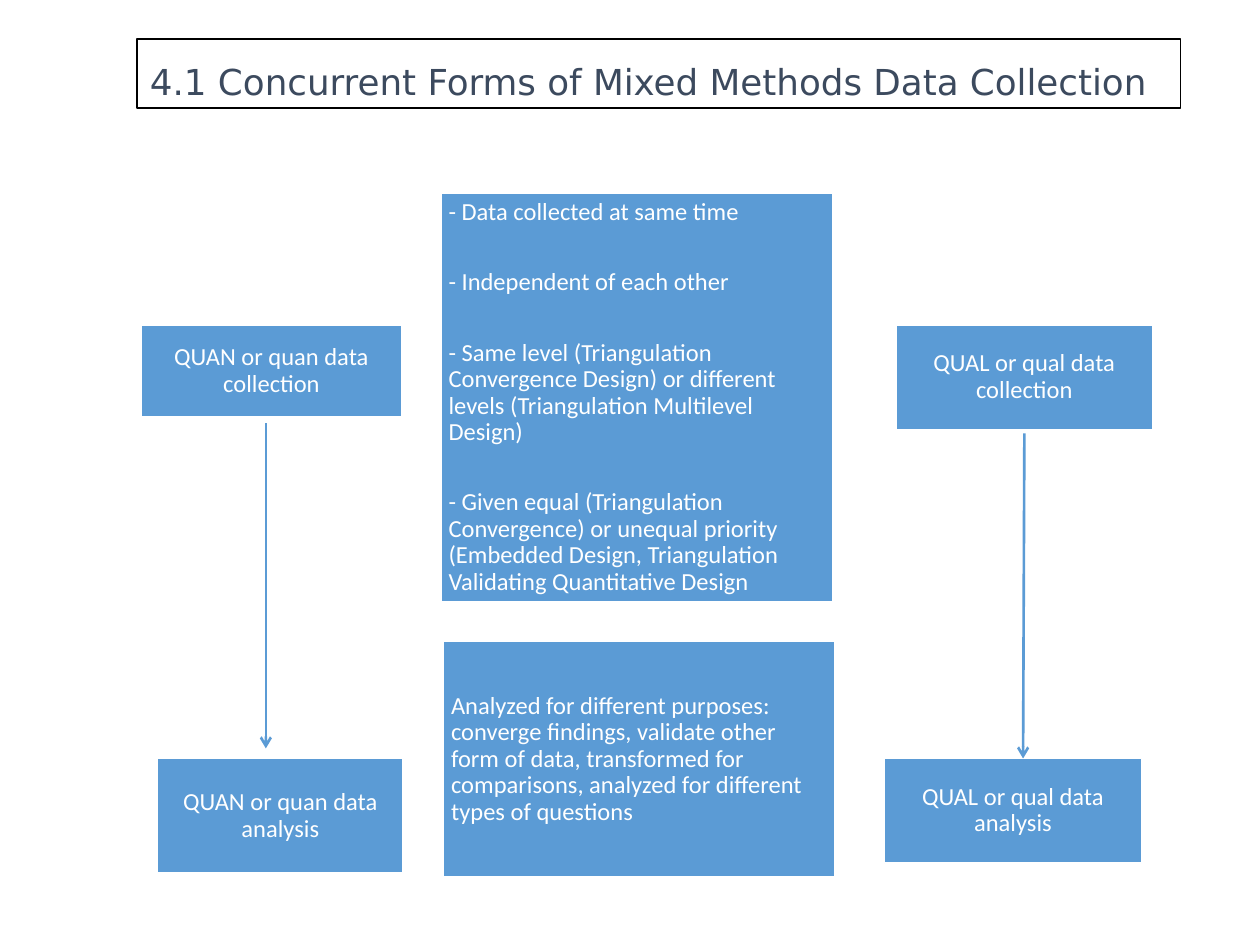
from dataclasses import dataclass

from lxml.etree import SubElement
from pptx import Presentation
from pptx.dml.color import RGBColor
from pptx.enum.shapes import MSO_CONNECTOR, MSO_SHAPE
from pptx.enum.text import MSO_ANCHOR, MSO_AUTO_SIZE, PP_ALIGN
from pptx.oxml.ns import qn
from pptx.util import Inches, Pt


@dataclass(frozen=True)
class Theme:
    """Colours, fonts and type sizes of the slide."""
    blue: RGBColor = RGBColor(0x5B, 0x9B, 0xD5)
    white: RGBColor = RGBColor(0xFF, 0xFF, 0xFF)
    black: RGBColor = RGBColor(0x00, 0x00, 0x00)
    title_color: RGBColor = RGBColor(0x3C, 0x4A, 0x5E)
    title_font: str = "DejaVu Sans"
    body_font: str = "Calibri"
    title_size: float = 20.4
    body_size: float = 14
    outline: float = 1
    arrow: float = 1.5


def write_text(frame, *paragraphs, font, size, color, align=PP_ALIGN.LEFT,
               anchor=MSO_ANCHOR.MIDDLE, line_spacing=0.9, gap=0,
               margins=(0.06, 0.06)):
    """Fill a text frame; gap is the space in points between paragraphs."""
    frame.word_wrap = True
    frame.auto_size = MSO_AUTO_SIZE.NONE
    frame.vertical_anchor = anchor
    frame.margin_left = frame.margin_right = Inches(margins[0])
    frame.margin_top = frame.margin_bottom = Inches(margins[1])
    for index, text in enumerate(paragraphs):
        paragraph = frame.add_paragraph() if index else frame.paragraphs[0]
        paragraph.text = text
        paragraph.alignment = align
        paragraph.line_spacing = line_spacing
        paragraph.space_before = Pt(gap if index else 0)
        paragraph.space_after = Pt(0)
        paragraph.font.name = font
        paragraph.font.size = Pt(size)
        paragraph.font.color.rgb = color


class SlideBuilder:
    """Holds the theme and the current slide."""

    def __init__(self, slide, theme):
        self.slide = slide
        self.theme = theme

    def paint(self, shape, fill, line):
        shape.fill.solid()
        shape.fill.fore_color.rgb = fill
        shape.line.color.rgb = line
        shape.line.width = Pt(self.theme.outline)

    def title(self, text, left, top, width, height):
        theme = self.theme
        title = self.slide.shapes.title
        title.left, title.top = Inches(left), Inches(top)
        title.width, title.height = Inches(width), Inches(height)
        self.paint(title, theme.white, theme.black)
        write_text(title.text_frame, text, font=theme.title_font,
                   size=theme.title_size, color=theme.title_color,
                   anchor=MSO_ANCHOR.BOTTOM, line_spacing=0.8,
                   margins=(0.1, 0.05))

    def box(self, left, top, width, height, *paragraphs, **text_format):
        theme = self.theme
        shape = self.slide.shapes.add_shape(
            MSO_SHAPE.RECTANGLE, Inches(left), Inches(top),
            Inches(width), Inches(height))
        shape.shadow.inherit = False
        self.paint(shape, theme.blue, theme.white)
        write_text(shape.text_frame, *paragraphs, font=theme.body_font,
                   size=theme.body_size, color=theme.white, **text_format)

    def arrow(self, start, end):
        connector = self.slide.shapes.add_connector(
            MSO_CONNECTOR.STRAIGHT, *map(Inches, start + end))
        connector.line.color.rgb = self.theme.blue
        connector.line.width = Pt(self.theme.arrow)
        line = connector.line._get_or_add_ln()
        SubElement(line, qn("a:tailEnd"), type="arrow")
        SubElement(connector._element.spPr, qn("a:effectLst"))


def main():
    presentation = Presentation()
    presentation.slide_width = Inches(10)
    presentation.slide_height = Inches(7.5)
    slide = presentation.slides.add_slide(presentation.slide_layouts[5])
    builder = SlideBuilder(slide, Theme())

    builder.title("4.1 Concurrent Forms of Mixed Methods Data Collection",
                  1.09, 0.31, 8.28, 0.55)

    # Collection and analysis steps of both strands
    steps = [
        ("QUAN or quan data collection", 1.12, 2.58, 2.07, 0.73),
        ("QUAN or quan data analysis", 1.25, 6.02, 1.95, 0.91),
        ("QUAL or qual data collection", 7.11, 2.58, 2.04, 0.83),
        ("QUAL or qual data analysis", 7.02, 6.02, 2.04, 0.83),
    ]
    for text, *bounds in steps:
        builder.box(*bounds, text, align=PP_ALIGN.CENTER)

    # Notes on collection and on analysis
    builder.box(
        3.5, 1.53, 3.11, 3.25,
        "- Data collected at same time",
        "- Independent of each other",
        "- Same level (Triangulation Convergence Design) or different levels "
        "(Triangulation Multilevel Design)",
        "- Given equal (Triangulation Convergence) or unequal priority "
        "(Embedded Design, Triangulation Validating Quantitative Design",
        gap=25)
    builder.box(
        3.52, 5.09, 3.11, 1.87,
        "Analyzed for different purposes: converge findings, validate other "
        "form of data, transformed for comparisons, analyzed for different "
        "types of questions")

    # Arrows from collection to analysis
    builder.arrow((2.11, 3.36), (2.11, 5.94))
    builder.arrow((8.13, 3.44), (8.12, 6.02))

    presentation.save("out.pptx")


if __name__ == "__main__":
    main()
